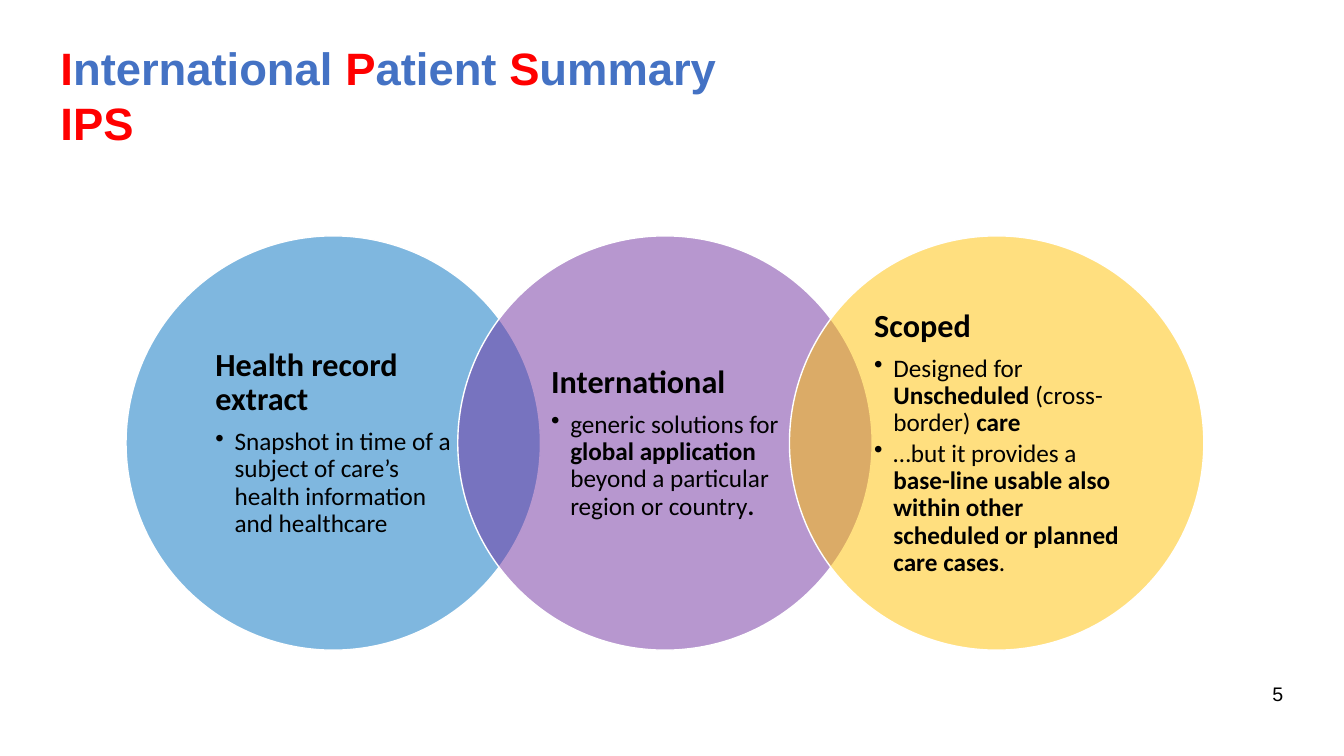
from lxml import etree
from pptx import Presentation
from pptx import util as u
from pptx.dml.color import RGBColor
from pptx.enum import shapes, text
from pptx.oxml import ns

PX = 9144
COLORS = {
    "black": "000000",
    "white": "FFFFFF",
    "red": "FF0000",
    "title": "4472C4",
    "blue": "0070C0",
    "purple": "7030A0",
    "amber": "FFC000",
}
CIRCLE_LEFT, CIRCLE_TOP, CIRCLE_SIZE, CIRCLE_STEP = 125, 234, 411, 329
TEXT_SIZE = 291
TEXT_INSET = (CIRCLE_SIZE - TEXT_SIZE) // 2
BULLET_INDENT = 19

TITLE_LINES = [
    [("I", "red"), ("nternational ", "title"), ("P", "red"),
     ("atient ", "title"), ("S", "red"), ("ummary", "title")],
    [("IPS", "red")],
]
CIRCLES = [
    ("blue", "Health record extract", [
        [("Snapshot in time of a subject of care’s health information and healthcare", False)],
    ]),
    ("purple", "International", [
        [("generic solutions for ", False), ("global application ", True),
         ("beyond a particular region or country", False), (".", True)],
    ]),
    ("amber", "Scoped", [
        [("Designed for ", False), ("Unscheduled ", True),
         ("(cross-border) ", False), ("care", True)],
        [("…but it provides a ", False),
         ("base-line usable also within other scheduled or planned care cases", True),
         (".", False)],
    ]),
]


def px(*lengths):
    return [u.Emu(length * PX) for length in lengths]


def rgb(name):
    return RGBColor.from_string(COLORS[name])


def add_run(paragraph, words, font, size, color="black", bold=False):
    run = paragraph.add_run()
    run.text = words
    run.font.name = font
    run.font.size = u.Pt(size)
    run.font.bold = bold
    run.font.color.rgb = rgb(color)


def set_frame(frame, anchor, side, end):
    frame.word_wrap = True
    frame.auto_size = text.MSO_AUTO_SIZE.NONE
    frame.vertical_anchor = anchor
    frame.margin_left, frame.margin_right = px(side, side)
    frame.margin_top, frame.margin_bottom = px(end, end)


def set_bullet(paragraph):
    properties = paragraph._p.get_or_add_pPr()
    properties.set("marL", str(BULLET_INDENT * PX))
    properties.set("indent", str(-BULLET_INDENT * PX))
    etree.SubElement(properties, ns.qn("a:buChar")).set("char", "•")


def add_title(slide):
    title = slide.shapes.title
    title.left, title.top, title.width, title.height = px(50, 40, 797, 61)
    frame = title.text_frame
    set_frame(frame, text.MSO_ANCHOR.TOP, 10, 0)
    heading = frame.paragraphs[0]
    heading.alignment = text.PP_ALIGN.LEFT
    for index, line in enumerate(TITLE_LINES):
        if index:
            heading.add_line_break()
        for words, color in line:
            add_run(heading, words, "Arial", 32.4, color, True)


def add_circle(group, left, color):
    circle = group.shapes.add_shape(
        shapes.MSO_SHAPE.OVAL, *px(left, CIRCLE_TOP, CIRCLE_SIZE, CIRCLE_SIZE))
    circle.shadow.inherit = False
    circle.fill.solid()
    circle.fill.fore_color.rgb = rgb(color)
    tint = circle.fill._xPr.find(ns.qn("a:solidFill"))[0]
    etree.SubElement(tint, ns.qn("a:alpha")).set("val", "50000")
    circle.line.color.rgb = rgb("white")
    circle.line.width = u.Pt(1)


def add_circle_text(group, left, heading, points):
    box = group.shapes.add_textbox(
        *px(left + TEXT_INSET, CIRCLE_TOP + TEXT_INSET, TEXT_SIZE, TEXT_SIZE))
    frame = box.text_frame
    set_frame(frame, text.MSO_ANCHOR.MIDDLE, 23, 3)
    frame._txBody.bodyPr.set("anchorCtr", "1")
    headline = frame.paragraphs[0]
    headline.line_spacing = 0.9
    headline.space_after = u.Pt(8)
    add_run(headline, heading, "Calibri", 23, bold=True)
    for runs in points:
        point = frame.add_paragraph()
        point.level = 1
        point.line_spacing = 0.9
        point.space_after = u.Pt(2.7)
        set_bullet(point)
        for words, bold in runs:
            add_run(point, words, "Calibri", 18, bold=bold)


def add_page_number(slide, number):
    frame = slide.shapes.add_textbox(*px(1236, 665, 63, 46)).text_frame
    set_frame(frame, text.MSO_ANCHOR.MIDDLE, 10, 5)
    page = frame.paragraphs[0]
    page.alignment = text.PP_ALIGN.CENTER
    add_run(page, number, "Arial", 14)


def main():
    deck = Presentation()
    deck.slide_width, deck.slide_height = px(1333, 750)
    slide = deck.slides.add_slide(deck.slide_layouts[5])
    add_title(slide)
    group = slide.shapes.add_group_shape()
    for index, (color, heading, points) in enumerate(CIRCLES):
        left = CIRCLE_LEFT + index * CIRCLE_STEP
        add_circle(group, left, color)
        add_circle_text(group, left, heading, points)
    add_page_number(slide, "5")
    deck.save("out.pptx")


if __name__ == "__main__":
    main()
